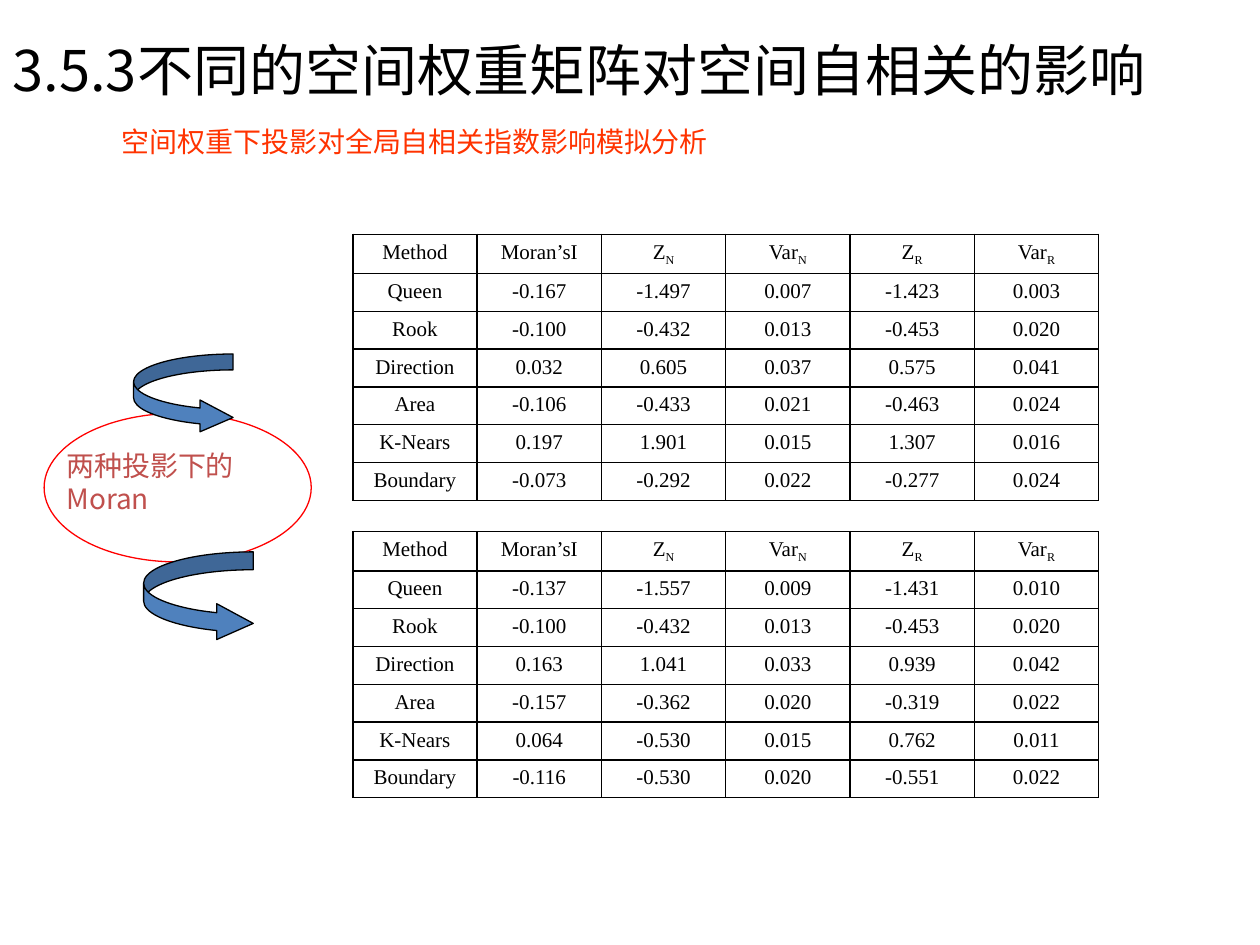
from lxml.etree import SubElement
from pptx import Presentation
from pptx.dml.color import RGBColor
from pptx.enum.shapes import MSO_SHAPE as Shape
from pptx.enum.text import MSO_ANCHOR as Anchor, MSO_AUTO_SIZE as AutoSize, PP_ALIGN as Align
from pptx.oxml import parse_xml
from pptx.oxml.ns import nsdecls, qn
from pptx.util import Inches, Pt

CJK, SERIF = "Noto Sans CJK SC", "Times New Roman"
BLACK, RED, ORANGE, BRICK, BLUE = "000000", "FF0000", "FF3300", "C0504D", "4F81BD"

TITLE = "3.5.3不同的空间权重矩阵对空间自相关的影响"
SUBTITLE = "空间权重下投影对全局自相关指数影响模拟分析"
PROJECTIONS = "两种投影下的Moran"

HEADINGS = [("Method", ""), ("Moran’sI", ""), ("Z", "N"), ("Var", "N"), ("Z", "R"), ("Var", "R")]
METHODS = ["Queen", "Rook", "Direction", "Area", "K-Nears", "Boundary"]
RESULTS = [
    [
        ("-0.167", "-1.497", "0.007", "-1.423", "0.003"),
        ("-0.100", "-0.432", "0.013", "-0.453", "0.020"),
        ("0.032", "0.605", "0.037", "0.575", "0.041"),
        ("-0.106", "-0.433", "0.021", "-0.463", "0.024"),
        ("0.197", "1.901", "0.015", "1.307", "0.016"),
        ("-0.073", "-0.292", "0.022", "-0.277", "0.024"),
    ],
    [
        ("-0.137", "-1.557", "0.009", "-1.431", "0.010"),
        ("-0.100", "-0.432", "0.013", "-0.453", "0.020"),
        ("0.163", "1.041", "0.033", "0.939", "0.042"),
        ("-0.157", "-0.362", "0.020", "-0.319", "0.022"),
        ("0.064", "-0.530", "0.015", "0.762", "0.011"),
        ("-0.116", "-0.530", "0.020", "-0.551", "0.022"),
    ],
]
TABLE_LEFT, TABLE_TOP, TABLE_STEP = 2.8, 1.86, 2.36
TABLE_WIDTH, ROW_HEIGHT = 5.92, 0.3
ARROWS = [
    ((1.14, 4.38, 0.87, 0.71), (0.2, 0.4, 0.408)),
    ((1.06, 2.81, 0.79, 0.63), (0.2, 0.4, 0.416)),
]


def color(hex_code):
    return RGBColor.from_string(hex_code)


def box(*inches):
    return [Inches(value) for value in inches]


def add_run(paragraph, text, size, font, hex_code, baseline=0):
    run = paragraph.add_run()
    run.text = text
    run.font.size = Pt(size)
    run.font.name = font
    run.font.color.rgb = color(hex_code)
    properties = run.font._element
    SubElement(properties, qn("a:ea")).set("typeface", font)
    if baseline:
        properties.set("baseline", str(baseline))


def write(frame, text, size, hex_code):
    frame.word_wrap = True
    frame.auto_size = AutoSize.NONE
    frame.vertical_anchor = Anchor.TOP
    paragraph = frame.paragraphs[0]
    paragraph.alignment = Align.LEFT
    add_run(paragraph, text, size, CJK, hex_code)


def add_label(slide, place, text, size, hex_code):
    write(slide.shapes.add_textbox(*box(*place)).text_frame, text, size, hex_code)


def add_outlined(slide, kind, place, line):
    shape = slide.shapes.add_shape(kind, *box(*place))
    shape.shadow.inherit = False
    shape.fill.background()
    shape.line.color.rgb = color(line)
    shape.line.width = Pt(0.75)
    return shape


def style_cell(cell):
    cell.fill.background()
    properties = cell._tc.get_or_add_tcPr()
    for index, side in enumerate(("lnL", "lnR", "lnT", "lnB")):
        properties.insert(index, parse_xml(
            f'<a:{side} {nsdecls("a")} w="{Pt(1)}"><a:solidFill>'
            f'<a:srgbClr val="{BLACK}"/></a:solidFill></a:{side}>'
        ))


def add_results(slide, top, results):
    body = [[(text, "") for text in (method, *values)] for method, values in zip(METHODS, results)]
    rows = [HEADINGS] + body
    place = box(TABLE_LEFT, top, TABLE_WIDTH, ROW_HEIGHT * len(rows))
    table = slide.shapes.add_table(len(rows), len(HEADINGS), *place).table
    table.first_row = table.horz_banding = False
    for column in table.columns:
        column.width = Inches(TABLE_WIDTH / len(HEADINGS))
    for r, row in enumerate(rows):
        table.rows[r].height = Inches(ROW_HEIGHT)
        for c, (text, subscript) in enumerate(row):
            cell = table.cell(r, c)
            style_cell(cell)
            paragraph = cell.text_frame.paragraphs[0]
            paragraph.alignment = Align.CENTER
            add_run(paragraph, text, 12, SERIF, BLACK)
            if subscript:
                add_run(paragraph, subscript, 12, SERIF, BLACK, -25000)


def main():
    deck = Presentation()
    deck.slide_width, deck.slide_height = box(10, 7.5)
    slide = deck.slides.add_slide(deck.slide_layouts[5])

    for index, results in enumerate(RESULTS):
        add_results(slide, TABLE_TOP + index * TABLE_STEP, results)

    add_label(slide, (0.87, 0.94, 8.27, 0.61), SUBTITLE, 16, ORANGE)
    add_outlined(slide, Shape.OVAL, (0.35, 3.28, 2.12, 1.18), RED)
    add_label(slide, (0.43, 3.51, 1.73, 0.64), PROJECTIONS, 16, BRICK)
    for place, adjustments in ARROWS:
        arrow = add_outlined(slide, Shape.CURVED_RIGHT_ARROW, place, BLACK)
        arrow.fill.solid()
        arrow.fill.fore_color.rgb = color(BLUE)
        for index, value in enumerate(adjustments):
            arrow.adjustments[index] = value

    title = slide.shapes.title
    title.left, title.top, title.width, title.height = box(0, 0.23, 9.49, 0.64)
    write(title.text_frame, TITLE, 32, BLACK)

    deck.save("out.pptx")


if __name__ == "__main__":
    main()
